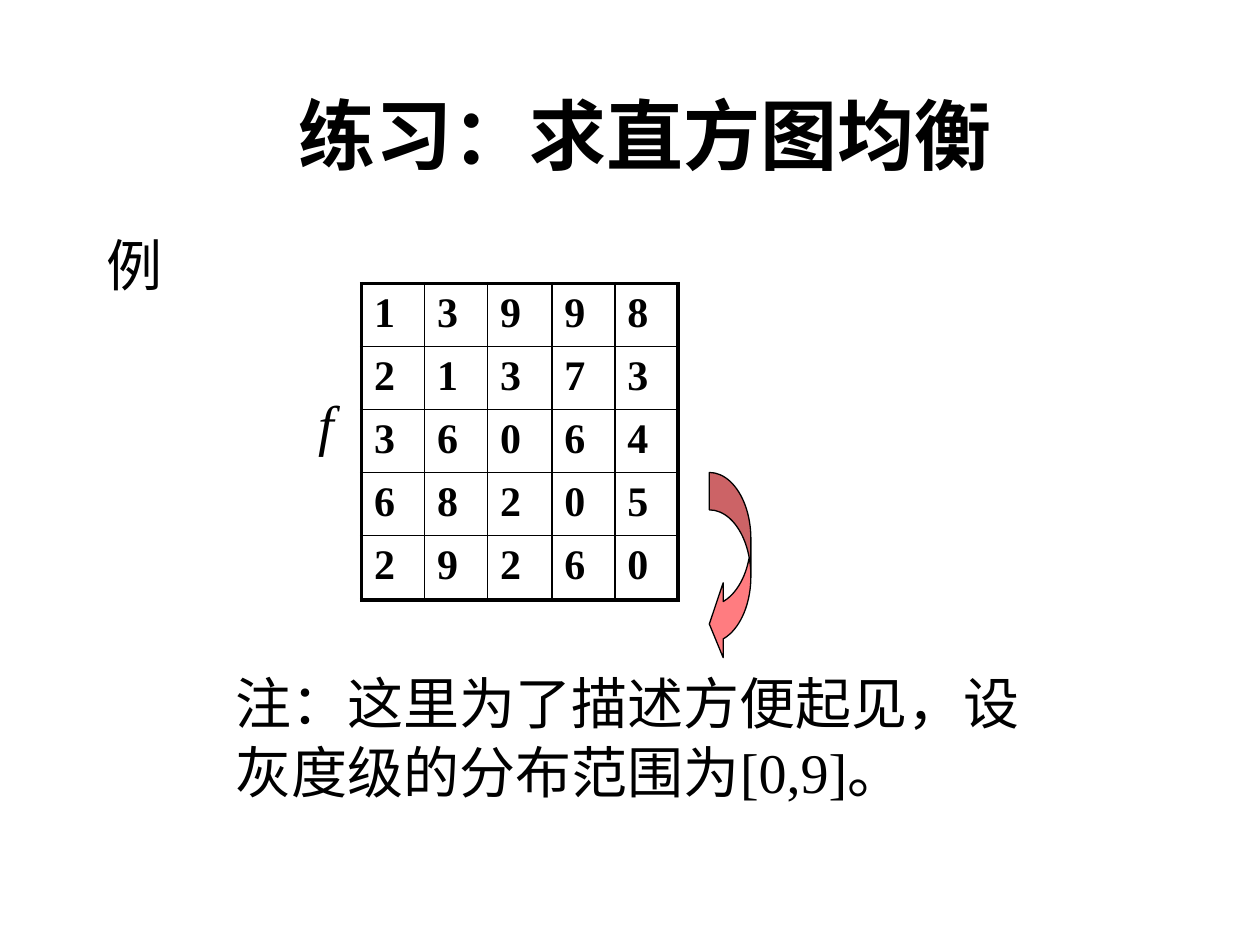
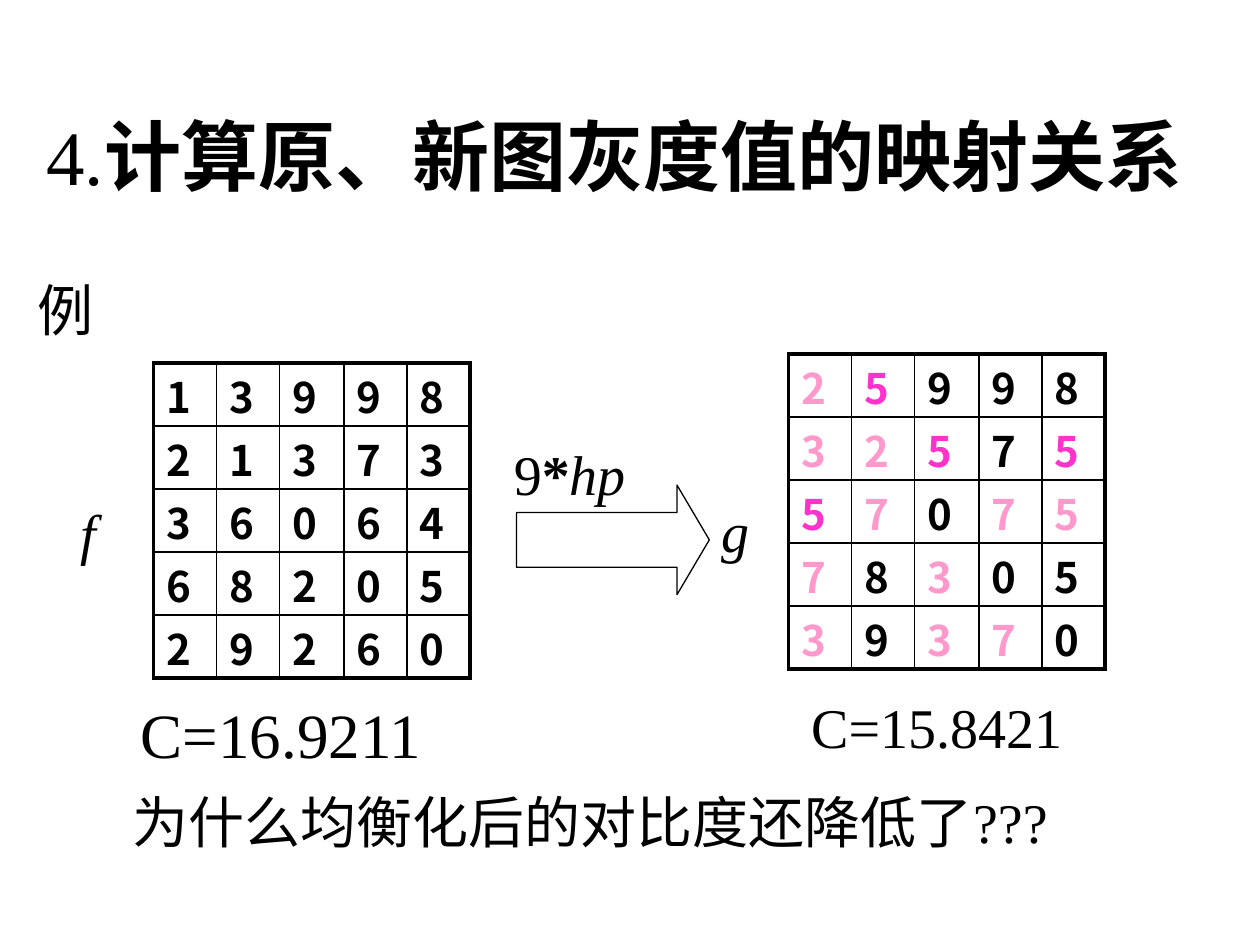
"""Build two slides on a histogram equalisation exercise."""
from dataclasses import dataclass

import pptx
import pptx.dml.color
import pptx.enum.shapes
import pptx.enum.text
import pptx.oxml
import pptx.oxml.ns
import pptx.util
from lxml import etree

Inches = pptx.util.Inches
Pt = pptx.util.Pt
RGB = pptx.dml.color.RGBColor
ANCHOR = pptx.enum.text.MSO_ANCHOR
ALIGN = pptx.enum.text.PP_ALIGN
SHAPE = pptx.enum.shapes.MSO_SHAPE
qn = pptx.oxml.ns.qn


@dataclass(frozen=True)
class Theme:
    """Colours, fonts and sizes shared by the slides."""
    ink: str = "000000"
    paper: str = "FFFFFF"
    coral: str = "FF7C80"
    shifted: str = "FF99CC"
    shifted_far: str = "FF33CC"
    serif: str = "Times New Roman"
    sans: str = "Noto Sans CJK SC"
    title: float = 44
    large: float = 36
    body: float = 32
    cell: float = 24
    body_line: float = 39
    outer: float = 2.25
    inner: float = 1
    outline: float = 0.75


T = Theme()


@dataclass(frozen=True)
class Box:
    """Place of an object in inches."""
    left: float
    top: float
    width: float
    height: float

    def emu(self) -> list:
        """Return the four lengths."""
        return [Inches(v) for v in (self.left, self.top, self.width, self.height)]


@dataclass(frozen=True)
class Run:
    """Words with their own weight and slant."""
    text: str
    bold: bool = False
    italic: bool = False


@dataclass(frozen=True)
class Label:
    """A one-paragraph text box."""
    box: Box
    runs: tuple
    size: float = T.body
    middle: bool = False
    center: bool = False
    filled: bool = False
    line: float = 0
    indent: float = 0.1


@dataclass(frozen=True)
class Grid:
    """A square matrix of grey levels."""
    left: float
    top: float
    heights: tuple
    values: tuple
    colors: tuple
    font: str


@dataclass(frozen=True)
class Arrow:
    """A block arrow."""
    kind: SHAPE
    box: Box
    adjustments: tuple
    fill: str


F_VALUES = ((1, 3, 9, 9, 8), (2, 1, 3, 7, 3), (3, 6, 0, 6, 4), (6, 8, 2, 0, 5), (2, 9, 2, 6, 0))
MAPPING = {1: 2, 2: 3, 3: 5, 4: 5, 6: 7}
G_VALUES = tuple(tuple(MAPPING.get(v, v) for v in row) for row in F_VALUES)
SHIFT_COLORS = (T.ink, T.shifted, T.shifted_far)
F_COLORS = ((T.ink,) * 5,) * 5
G_COLORS = tuple(tuple(SHIFT_COLORS[MAPPING.get(v, v) - v] for v in row) for row in F_VALUES)
COLUMNS = (0.5, 0.5, 0.51, 0.5, 0.5)


def set_font(p, size: float, name: str, color: str = T.ink) -> None:
    """Set the paragraph font for Latin and Chinese text."""
    p.font.size = Pt(size)
    p.font.name = name
    p.font.color.rgb = RGB.from_string(color)
    etree.SubElement(p._p.pPr.find(qn("a:defRPr")), qn("a:ea"), typeface=T.sans)


def add_label(slide, label: Label) -> None:
    """Draw a text box."""
    sp = slide.shapes.add_textbox(*label.box.emu())
    if label.filled:
        sp.fill.solid()
        sp.fill.fore_color.rgb = RGB.from_string(T.paper)
    tf = sp.text_frame
    tf.word_wrap = True
    tf.margin_left = Inches(label.indent)
    tf.vertical_anchor = ANCHOR.MIDDLE if label.middle else ANCHOR.TOP
    p = tf.paragraphs[0]
    p.alignment = ALIGN.CENTER if label.center else ALIGN.LEFT
    if label.line:
        p.line_spacing = Pt(label.line)
    set_font(p, label.size, T.serif)
    uniform = len(label.runs) == 1
    for run in label.runs:
        r = p.add_run()
        r.text = run.text
        font = p.font if uniform else r.font
        font.bold = run.bold
        font.italic = run.italic


def set_borders(cell, widths: dict) -> None:
    """Draw the four borders of a cell ahead of its fill."""
    tc_pr = cell._tc.get_or_add_tcPr()
    for i, (side, width) in enumerate(widths.items()):
        ln = etree.Element(qn(f"a:ln{side}"), w=str(Pt(width)))
        fill = etree.SubElement(ln, qn("a:solidFill"))
        etree.SubElement(fill, qn("a:srgbClr"), val=T.ink)
        tc_pr.insert(i, ln)


def add_grid(slide, grid: Grid) -> None:
    """Draw a matrix as a table with a heavy frame."""
    n = len(grid.values)
    box = Box(grid.left, grid.top, sum(COLUMNS), sum(grid.heights))
    table = slide.shapes.add_table(n, n, *box.emu()).table
    table.first_row = table.horz_banding = False
    for i in range(n):
        table.columns[i].width = Inches(COLUMNS[i])
        table.rows[i].height = Inches(grid.heights[i])
    for row in range(n):
        for col in range(n):
            cell = table.cell(row, col)
            cell.fill.background()
            if grid.font == T.sans:
                cell.margin_top = cell.margin_bottom = 0
                cell.vertical_anchor = ANCHOR.BOTTOM
            p = cell.text_frame.paragraphs[0]
            p.add_run().text = str(grid.values[row][col])
            set_font(p, T.cell, grid.font, grid.colors[row][col])
            p.font.bold = True
            at_frame = {"L": col == 0, "R": col == n - 1, "T": row == 0, "B": row == n - 1}
            set_borders(cell, {s: T.outer if edge else T.inner for s, edge in at_frame.items()})


def add_arrow(slide, arrow: Arrow) -> None:
    """Draw a block arrow with a thin outline."""
    sp = slide.shapes.add_shape(arrow.kind, *arrow.box.emu())
    sp.shadow.inherit = False
    for i, value in enumerate(arrow.adjustments):
        sp.adjustments[i] = value
    sp.fill.solid()
    sp.fill.fore_color.rgb = RGB.from_string(arrow.fill)
    sp.line.color.rgb = RGB.from_string(T.ink)
    sp.line.width = Pt(T.outline)


def symbol(text: str, box: Box, indent: float = 0.1) -> Label:
    """Return an italic matrix name."""
    return Label(box, (Run(text, italic=True),), filled=True, indent=indent)


def example(box: Box) -> Label:
    """Return the example heading."""
    return Label(box, (Run("例"),), middle=True)


EXERCISE = (
    example(Box(0.75, 1.7, 0.94, 0.79)),
    Grid(2.87, 2.25, (0.47,) * 4 + (0.51,), F_VALUES, F_COLORS, T.serif),
    symbol("f", Box(2.32, 3.04, 0.47, 0.64), 0.21),
    Label(Box(1.77, 5.25, 6.77, 1.18),
          (Run("注：这里为了描述方便起见，设灰度级的分布范围为[0,9]。"),),
          filled=True, line=T.body_line),
    Arrow(SHAPE.CURVED_LEFT_ARROW, Box(5.63, 3.75, 0.33, 1.5), (0.9, 1.8, 0.333), T.coral),
    Label(Box(0.51, 0.21, 9.23, 1.71), (Run("练习：求直方图均衡", bold=True),),
          T.title, middle=True, center=True),
)

RESULT = (
    example(Box(0.2, 2.1, 0.71, 0.71)),
    symbol("f", Box(0.43, 3.91, 0.55, 0.64), 0.21),
    Grid(6.26, 2.81, (0.5,) * 5, G_VALUES, G_COLORS, T.sans),
    symbol("g", Box(5.63, 3.89, 0.47, 0.64)),
    Grid(1.22, 2.88, (0.5,) * 5, F_VALUES, F_COLORS, T.sans),
    Label(Box(1.02, 5.47, 2.7, 0.71), (Run("C=16.9211"),), T.large),
    Label(Box(3.98, 3.44, 1.62, 0.64),
          (Run("9"), Run("*", bold=True), Run("hp", italic=True)), filled=True),
    Arrow(SHAPE.RIGHT_ARROW, Box(4.1, 3.85, 1.53, 0.87), (0.5, 0.295), T.paper),
    Label(Box(6.34, 5.45, 2.33, 0.64), (Run("C=15.8421"),)),
    Label(Box(0.95, 6.19, 7.88, 0.64), (Run("为什么均衡化后的对比度还降低了???"),),
          filled=True, line=T.body_line),
    Label(Box(0.27, 0.44, 9.45, 1.57),
          (Run("4."), Run("计算原、新图灰度值的映射关系", bold=True)), T.title, middle=True),
)

DRAW = {Label: add_label, Grid: add_grid, Arrow: add_arrow}


def main() -> None:
    """Build and save the presentation."""
    prs = pptx.Presentation()
    prs.slide_width, prs.slide_height = Inches(10), Inches(7.5)
    for items in (EXERCISE, RESULT):
        slide = prs.slides.add_slide(prs.slide_layouts[6])
        for item in items:
            DRAW[type(item)](slide, item)
    prs.save("out.pptx")


if __name__ == "__main__":
    main()
